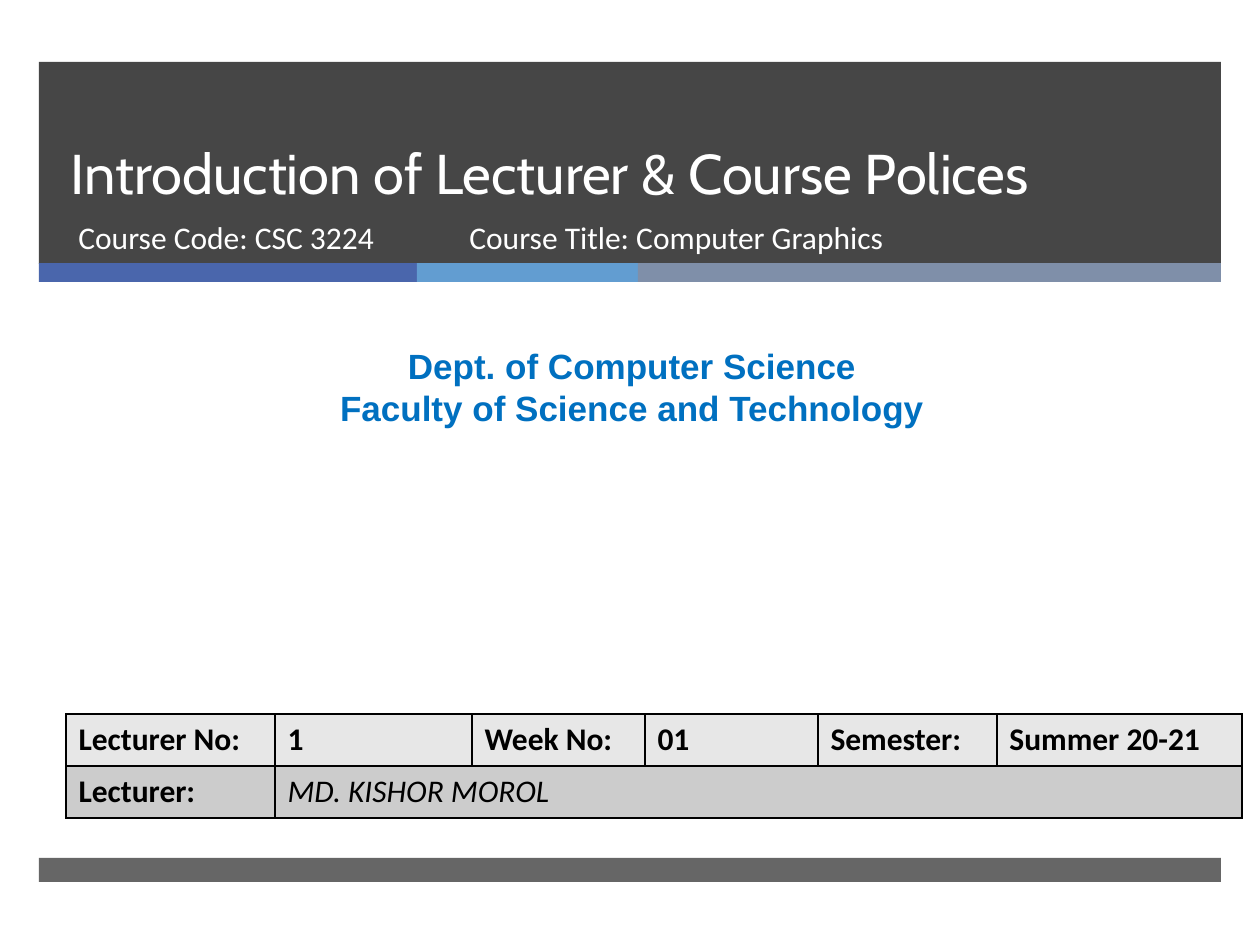
from lxml import etree
from pptx import Presentation
from pptx.dml.color import RGBColor
from pptx.enum.shapes import MSO_SHAPE
from pptx.enum.text import MSO_ANCHOR, PP_ALIGN
from pptx.oxml.ns import qn
from pptx.util import Emu, Pt

RECTANGLE = MSO_SHAPE.RECTANGLE
TOP, BOTTOM = MSO_ANCHOR.TOP, MSO_ANCHOR.BOTTOM
LEFT, CENTER = PP_ALIGN.LEFT, PP_ALIGN.CENTER
PX = 914400 // 126

TITLE = "Introduction of Lecturer & Course Polices"
TITLE_AREA = (58, 62, 1076, 150)
TITLE_FORMAT = {"name": "Cabin", "size": Pt(32), "bold": False, "color": "FFFFFF"}
COURSE_FORMAT = {"name": "Calibri", "size": Pt(18), "color": "FFFFFF"}
DEPARTMENT_FORMAT = {"name": "Arial", "size": Pt(20), "bold": True, "color": "0070C0"}
LABEL_FORMAT = {"name": "Calibri", "size": Pt(18), "bold": True, "color": "000000"}
LECTURER_FORMAT = LABEL_FORMAT | {"bold": False, "italic": True}

BAND_LEFT, BAND_WIDTH = 39, 1182
DARK = "262626"
PANELS = [(62, 202, 85), (858, 24, 70)]  # top, height, opacity in percent
STRIPE_TOP, STRIPE_HEIGHT = 263, 19
STRIPES = [(378, "4A66AC"), (221, "629DD1"), (583, "7F8FA9")]

TEXTS = [
    (["Course Code: CSC 3224"], (66, 212, 384, 67), COURSE_FORMAT, LEFT),
    (["Dept. of Computer Science", "Faculty of Science and Technology"],
     (10, 338, 1244, 97), DEPARTMENT_FORMAT, CENTER),
    (["Course Title: Computer Graphics"], (457, 212, 573, 67), COURSE_FORMAT, LEFT),
]

ROWS = [
    ["Lecturer No:", "1", "Week No:", "01", "Semester:", "Summer 20-21"],
    ["Lecturer:", "MD. KISHOR MOROL"],
]
ROW_FILLS = ["E7E7E7", "CCCCCC"]
TABLE_LEFT, TABLE_TOP, ROW_HEIGHT = 66, 714, 52
COLUMN_WIDTHS = [209, 197, 173, 173, 179, 245]


def rgb(value):
    return RGBColor.from_string(value)


def to_emu(area):
    return [Emu(length * PX) for length in area]


def format_font(font, values):
    for name, value in values.items():
        if name == "color":
            font.color.rgb = rgb(value)
        else:
            setattr(font, name, value)


def add_bar(page, area, color, opacity=100):
    bar = page.shapes.add_shape(RECTANGLE, *to_emu(area))
    bar.shadow.inherit = False
    bar.line.fill.background()
    bar.fill.solid()
    bar.fill.fore_color.rgb = rgb(color)
    if opacity < 100:
        tint = bar.element.spPr.find(qn("a:solidFill"))[0]
        etree.SubElement(tint, qn("a:alpha"), val=str(opacity * 1000))


def add_bands(page):
    for top, height, opacity in PANELS:
        add_bar(page, (BAND_LEFT, top, BAND_WIDTH, height), DARK, opacity)
    left = BAND_LEFT
    for width, color in STRIPES:
        add_bar(page, (left, STRIPE_TOP, width, STRIPE_HEIGHT), color)
        left += width


def set_title(page):
    title = page.shapes.title
    title.left, title.top, title.width, title.height = to_emu(TITLE_AREA)
    title.text_frame.text = TITLE
    title.text_frame.vertical_anchor = BOTTOM
    title.text_frame.word_wrap = True
    para = title.text_frame.paragraphs[0]
    para.alignment = LEFT
    para.line_spacing = Pt(46)
    format_font(para.font, TITLE_FORMAT)
    # Bring the title in front of the dark panel.
    title.element.getparent().append(title.element)


def add_text(page, lines, area, values, alignment):
    frame = page.shapes.add_textbox(*to_emu(area)).text_frame
    frame.word_wrap = True
    frame.vertical_anchor = TOP
    frame.text = "\n".join(lines)
    for para in frame.paragraphs:
        para.alignment = alignment
        format_font(para.font, values)


def style_cell(cell, color):
    properties = cell._tc.get_or_add_tcPr()
    for side in ("lnL", "lnR", "lnT", "lnB"):
        line = etree.SubElement(properties, qn(f"a:{side}"), w=str(Pt(1)))
        fill = etree.SubElement(line, qn("a:solidFill"))
        etree.SubElement(fill, qn("a:srgbClr"), val="000000")
    cell.fill.solid()
    cell.fill.fore_color.rgb = rgb(color)


def add_details(page):
    area = (TABLE_LEFT, TABLE_TOP, sum(COLUMN_WIDTHS), ROW_HEIGHT * len(ROWS))
    table = page.shapes.add_table(len(ROWS), len(COLUMN_WIDTHS), *to_emu(area)).table
    for column, width in zip(table.columns, COLUMN_WIDTHS):
        column.width = Emu(width * PX)
    table.cell(1, 1).merge(table.cell(1, len(COLUMN_WIDTHS) - 1))
    for row, (texts, color) in enumerate(zip(ROWS, ROW_FILLS)):
        for column in range(len(COLUMN_WIDTHS)):
            cell = table.cell(row, column)
            style_cell(cell, color)
            if column < len(texts):
                cell.text = texts[column]
                values = LECTURER_FORMAT if (row, column) == (1, 1) else LABEL_FORMAT
                format_font(cell.text_frame.paragraphs[0].font, values)


def main():
    deck = Presentation()
    deck.slide_width, deck.slide_height = to_emu((1260, 945))
    page = deck.slides.add_slide(deck.slide_layouts.get_by_name("Title Only"))
    add_bands(page)
    set_title(page)
    for text in TEXTS:
        add_text(page, *text)
    add_details(page)
    deck.save("out.pptx")


if __name__ == "__main__":
    main()
